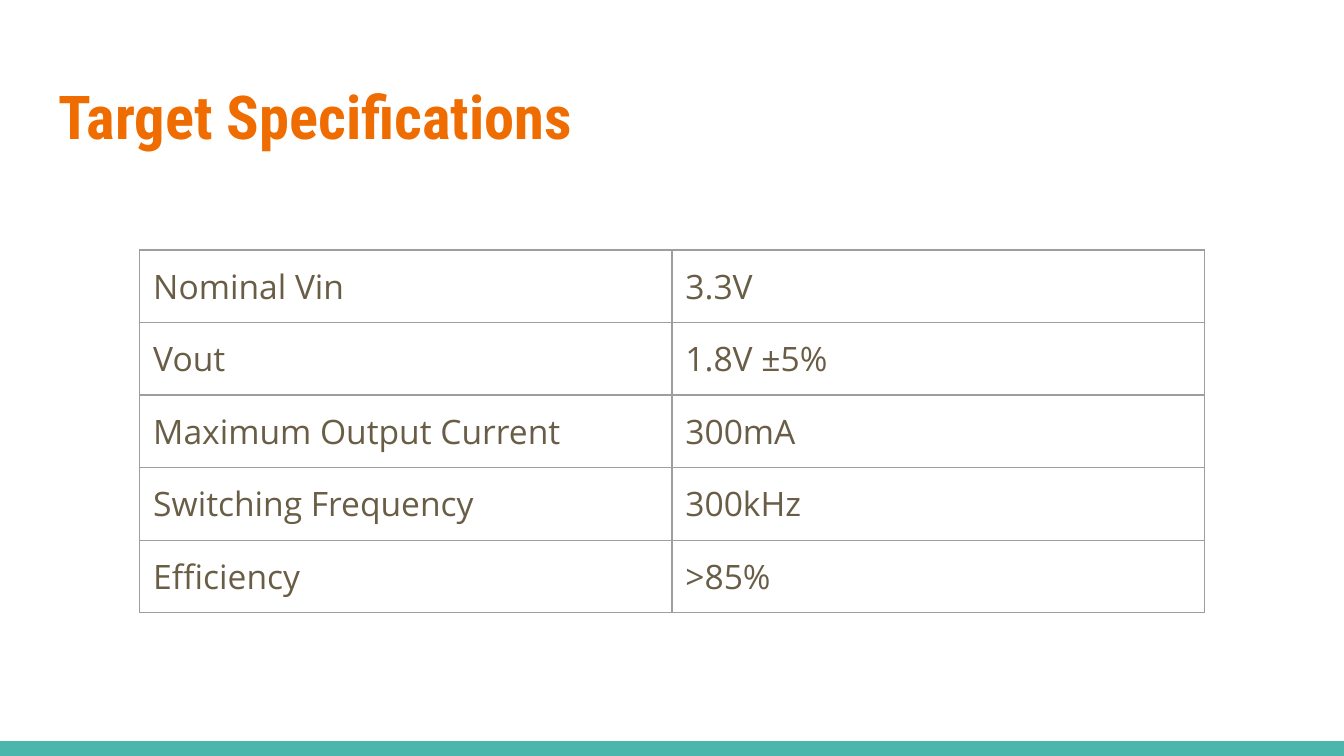
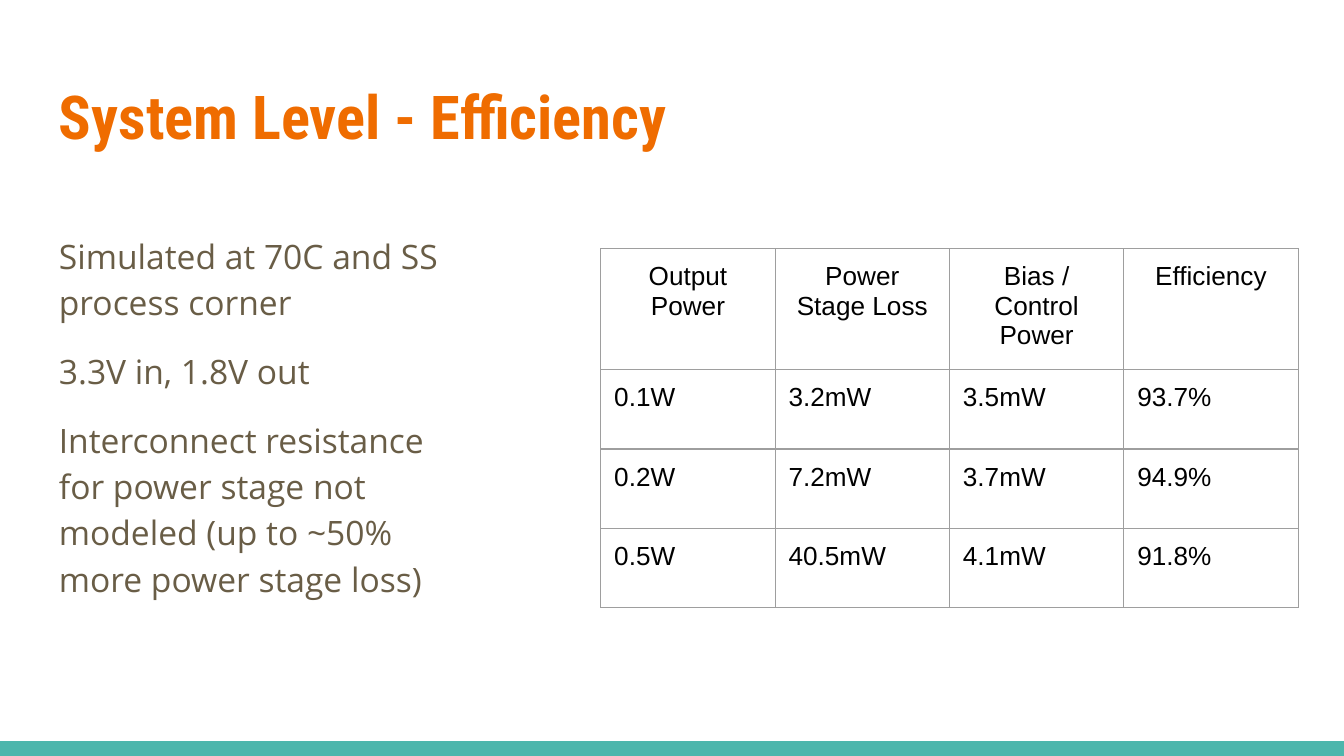
from lxml.etree import SubElement
from pptx import Presentation
from pptx.dml.color import RGBColor
from pptx.enum.shapes import MSO_SHAPE
from pptx.enum.text import MSO_ANCHOR, PP_ALIGN
from pptx.oxml.ns import qn
from pptx.util import Inches, Pt

WIDTH = 10
HEIGHT = WIDTH * 9 / 16
MARGIN, BAND_HEIGHT, INSET = 0.34, 0.11, 0.1
COLORS = {"paper": "FFFFFF", "band": "4DB6AC", "title": "EF6C00",
          "body": "695D46", "grid": "9E9E9E", "data": "000000"}
FORMATS = {
    "title": {"name": "Roboto Condensed", "size": Pt(32.4), "bold": True},
    "body": {"name": "Open Sans", "size": Pt(18), "bold": False},
    "data": {"name": "Arial", "size": Pt(14), "bold": False},
}
SLIDES = [
    {
        "title": "Target Specifications",
        "notes": [],
        "table": {
            "corner": (1.04, 1.86), "width": 7.92, "heights": [0.54] * 5,
            "style": "body", "header": False,
            "rows": [
                ("Nominal Vin", "3.3V"),
                ("Vout", "1.8V ±5%"),
                ("Maximum Output Current", "300mA"),
                ("Switching Frequency", "300kHz"),
                ("Efficiency", ">85%"),
            ],
        },
    },
    {
        "title": "System Level - Efficiency",
        "notes": [
            "Simulated at 70C and SS process corner",
            "3.3V in, 1.8V out",
            "Interconnect resistance for power stage not modeled "
            "(up to ~50% more power stage loss)",
        ],
        "table": {
            "corner": (4.47, 1.85), "width": 5.19, "heights": [0.9] + [0.59] * 3,
            "style": "data", "header": True,
            "rows": [
                ("Output Power", "Power Stage Loss", "Bias / Control Power", "Efficiency"),
                ("0.1W", "3.2mW", "3.5mW", "93.7%"),
                ("0.2W", "7.2mW", "3.7mW", "94.9%"),
                ("0.5W", "40.5mW", "4.1mW", "91.8%"),
            ],
        },
    },
]


def color(key):
    return RGBColor.from_string(COLORS[key])


def set_inset(holder):
    for side in ("left", "right", "top", "bottom"):
        setattr(holder, f"margin_{side}", Inches(INSET))


def write(paragraph, text, style):
    run = paragraph.add_run()
    run.text = text
    for attribute, value in FORMATS[style].items():
        setattr(run.font, attribute, value)
    run.font.color.rgb = color(style)


def add_text(slide, box, lines, style, spacing=1.0, gap=0):
    frame = slide.shapes.add_textbox(*map(Inches, box)).text_frame
    frame.word_wrap = True
    frame.vertical_anchor = MSO_ANCHOR.TOP
    set_inset(frame)
    for index, line in enumerate(lines):
        paragraph = frame.add_paragraph() if index else frame.paragraphs[0]
        paragraph.line_spacing = spacing
        if index:
            paragraph.space_before = Pt(gap)
        write(paragraph, line, style)


def add_band(slide):
    band = slide.shapes.add_shape(
        MSO_SHAPE.RECTANGLE, 0, Inches(HEIGHT - BAND_HEIGHT), Inches(WIDTH), Inches(BAND_HEIGHT))
    band.shadow.inherit = False
    band.fill.solid()
    band.fill.fore_color.rgb = color("band")
    band.line.fill.background()


def add_borders(cell):
    properties = cell._tc.get_or_add_tcPr()
    for side in "LRTB":
        border = SubElement(properties, qn(f"a:ln{side}"), w=str(Pt(0.75)))
        fill = SubElement(border, qn("a:solidFill"))
        SubElement(fill, qn("a:srgbClr"), val=COLORS["grid"])


def add_grid(slide, corner, width, heights, style, header, rows):
    columns = len(rows[0])
    size = (width, sum(heights))
    grid = slide.shapes.add_table(len(rows), columns, *map(Inches, corner + size)).table
    grid.first_row = header
    grid.horz_banding = False
    for column in grid.columns:
        column.width = Inches(width / columns)
    for row, (height, values) in enumerate(zip(heights, rows)):
        grid.rows[row].height = Inches(height)
        for position, value in enumerate(values):
            cell = grid.cell(row, position)
            set_inset(cell)
            add_borders(cell)
            cell.fill.background()
            paragraph = cell.text_frame.paragraphs[0]
            paragraph.alignment = PP_ALIGN.CENTER if header and row == 0 else PP_ALIGN.LEFT
            write(paragraph, value, style)


def main():
    """Build the specification and efficiency slides."""
    deck = Presentation()
    deck.slide_width, deck.slide_height = Inches(WIDTH), Inches(HEIGHT)
    for content in SLIDES:
        slide = deck.slides.add_slide(deck.slide_layouts[6])
        slide.background.fill.solid()
        slide.background.fill.fore_color.rgb = color("paper")
        add_band(slide)
        add_text(slide, (MARGIN, 0.49, WIDTH - 2 * MARGIN, 0.77), [content["title"]], "title")
        if content["notes"]:
            add_text(slide, (MARGIN, 1.61, 3.27, 3.04), content["notes"], "body",
                     spacing=1.15, gap=12)
        add_grid(slide, **content["table"])
    deck.save("out.pptx")


if __name__ == "__main__":
    main()
